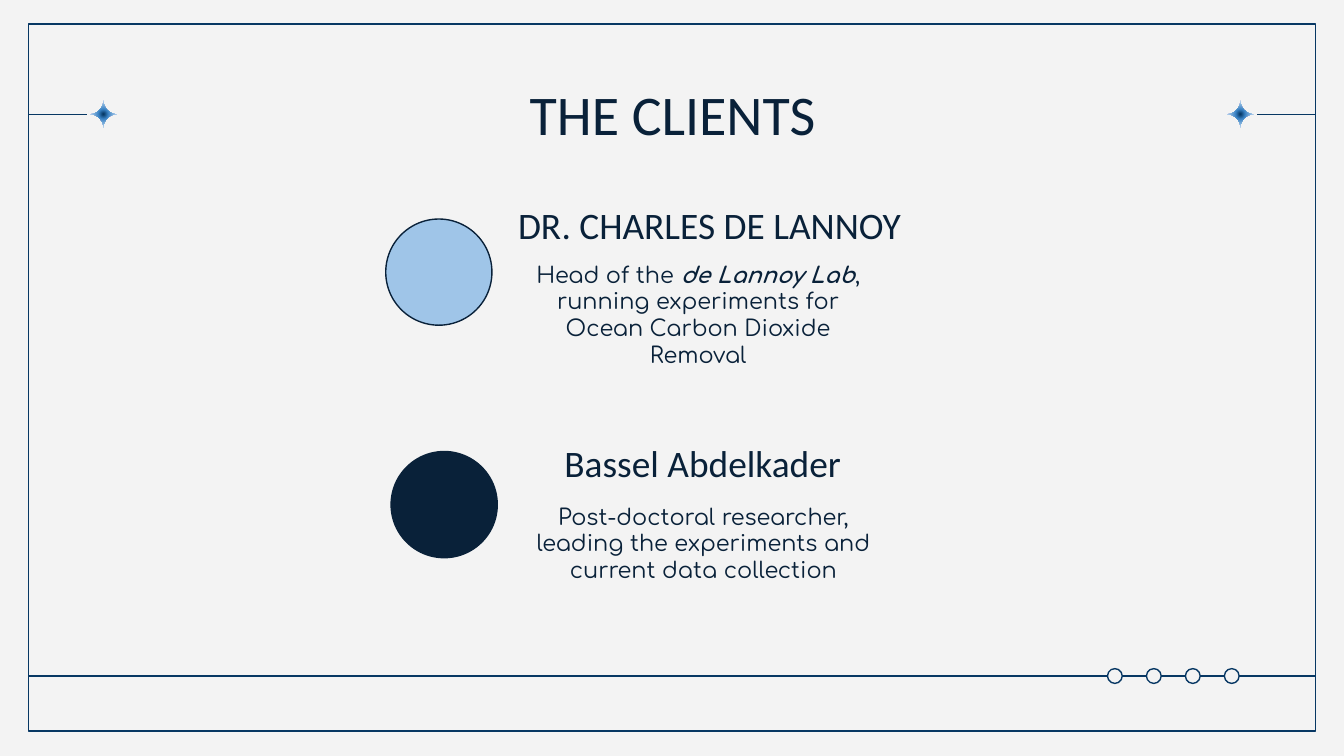
from pptx import Presentation
from pptx.util import Inches, Pt
from pptx.dml.color import RGBColor
from pptx.enum.shapes import MSO_SHAPE as Kind, MSO_CONNECTOR as Link
from pptx.enum.text import PP_ALIGN as Align, MSO_ANCHOR as Anchor
from pptx.oxml import parse_xml
from pptx.oxml.ns import nsdecls
from lxml.etree import SubElement

PAPER, NAVY, INK, SKY = "F3F3F3", "073763", "092139", "9FC5E8"
HEAD, BODY = "Calibri", "Comfortaa"

# Content: runs are (text, stressed)
TITLE = "THE CLIENTS"
CLIENTS = [
    {"name": "DR. CHARLES DE LANNOY", "name_at": (3.72, 1.41, 3.12, 0.53),
     "role": [("Head of the ", False), ("de Lannoy Lab", True),
              (", running experiments for Ocean Carbon Dioxide Removal", False)],
     "role_at": (3.74, 1.84, 2.91, 0.77), "dot": (2.87, 1.63), "fill": SKY},
    {"name": "Bassel Abdelkader", "name_at": (3.91, 3.18, 2.64, 0.53),
     "role": [("Post-doctoral researcher, leading the experiments "
               "and current data collection", False)],
     "role_at": (3.78, 3.64, 2.91, 0.88), "dot": (2.91, 3.36), "fill": INK},
]
GLOW = [(0, NAVY), (25, "3D85C6"), (60, SKY), (100, PAPER)]

# Frame measures
LEFT, TOP, WIDE, HIGH = 0.21, 0.18, 9.58, 5.26
RIGHT = LEFT + WIDE
STAR_Y, BASE_Y = 0.85, 5.03

# Widescreen, 16 to 9
deck = Presentation()
deck.slide_width = Inches(10)
deck.slide_height = Inches(10 * 9 / 16)
slide = deck.slides.add_slide(deck.slide_layouts[6])
shapes = slide.shapes


def color(code):
    return RGBColor.from_string(code)


def add_shape(kind, box, fill, line):
    shape = shapes.add_shape(kind, *map(Inches, box))
    shape.shadow.inherit = False
    if fill:
        shape.fill.solid()
        shape.fill.fore_color.rgb = color(fill)
    else:
        shape.fill.background()
    shape.line.color.rgb = color(line)
    shape.line.width = Pt(0.75)
    return shape


def add_line(x1, x2, y):
    line = shapes.add_connector(Link.STRAIGHT, *map(Inches, (x1, y, x2, y)))
    line.line.color.rgb = color(NAVY)
    line.line.width = Pt(0.75)
    SubElement(line._element.spPr,
               "{http://schemas.openxmlformats.org/drawingml/2006/main}effectLst")


def add_star(x, y, r=0.1, bend=0.45, steps=10):
    # One curved arm from top to left, turned four times
    arm = []
    for i in range(steps):
        t = i / steps
        u = 1 - t
        arm.append((-r * (3 * bend * u * t * t + t ** 3),
                    -r * (u ** 3 + 3 * bend * u * u * t)))
    dots = []
    for _ in range(4):
        dots += arm
        arm = [(b, -a) for a, b in arm]
    dots = [(Inches(x + a), Inches(y + b)) for a, b in dots]
    path = shapes.build_freeform(*dots[0], scale=1.0)
    path.add_line_segments(dots[1:], close=True)
    star = path.convert_to_shape()
    star.shadow.inherit = False
    star.line.fill.background()
    star.fill.background()
    # Radial glow
    stops = "".join(f'<a:gs pos="{pos * 1000}"><a:srgbClr val="{code}"/></a:gs>'
                    for pos, code in GLOW)
    glow = parse_xml(
        f'<a:gradFill {nsdecls("a")}><a:gsLst>{stops}</a:gsLst><a:path path="circle">'
        '<a:fillToRect l="50000" t="50000" r="50000" b="50000"/></a:path></a:gradFill>')
    props = star._element.spPr
    props.replace(props.find("{*}noFill"), glow)


def add_text(box, runs, face, size, anchor=Anchor.TOP, top=0.1):
    frame = shapes.add_textbox(*map(Inches, box)).text_frame
    frame.word_wrap = True
    frame.vertical_anchor = anchor
    frame.margin_left = frame.margin_right = frame.margin_bottom = Inches(0.1)
    frame.margin_top = Inches(top)
    para = frame.paragraphs[0]
    para.alignment = Align.CENTER
    for text, stress in runs:
        run = para.add_run()
        run.text = text
        font = run.font
        font.name, font.size = face, Pt(size)
        font.bold = font.italic = stress
        font.color.rgb = color(INK)


# Backdrop and frame
slide.background.fill.solid()
slide.background.fill.fore_color.rgb = color(PAPER)
add_shape(Kind.RECTANGLE, (LEFT, TOP, WIDE, HIGH), None, NAVY)
add_line(RIGHT, LEFT, BASE_Y)

# Side stars, mirrored
for edge, way in ((LEFT, 1), (RIGHT, -1)):
    add_line(edge, edge + way * 0.44, STAR_Y)
    add_star(edge + way * 0.56, STAR_Y)

# Beads on the base line
for i in range(4):
    add_shape(Kind.OVAL, (8.24 + i * 0.29, BASE_Y - 0.11 / 2, 0.11, 0.11), PAPER, NAVY)

# Title and clients
add_text((0.79, 0.59, 8.43, 0.53), [(TITLE, False)], HEAD, 30, top=0)
for who in CLIENTS:
    add_text(who["name_at"], [(who["name"], False)], HEAD, 20, Anchor.BOTTOM)
    add_text(who["role_at"], who["role"], BODY, 12)
    add_shape(Kind.OVAL, (*who["dot"], 0.79, 0.79), who["fill"], INK)

deck.save("out.pptx")
